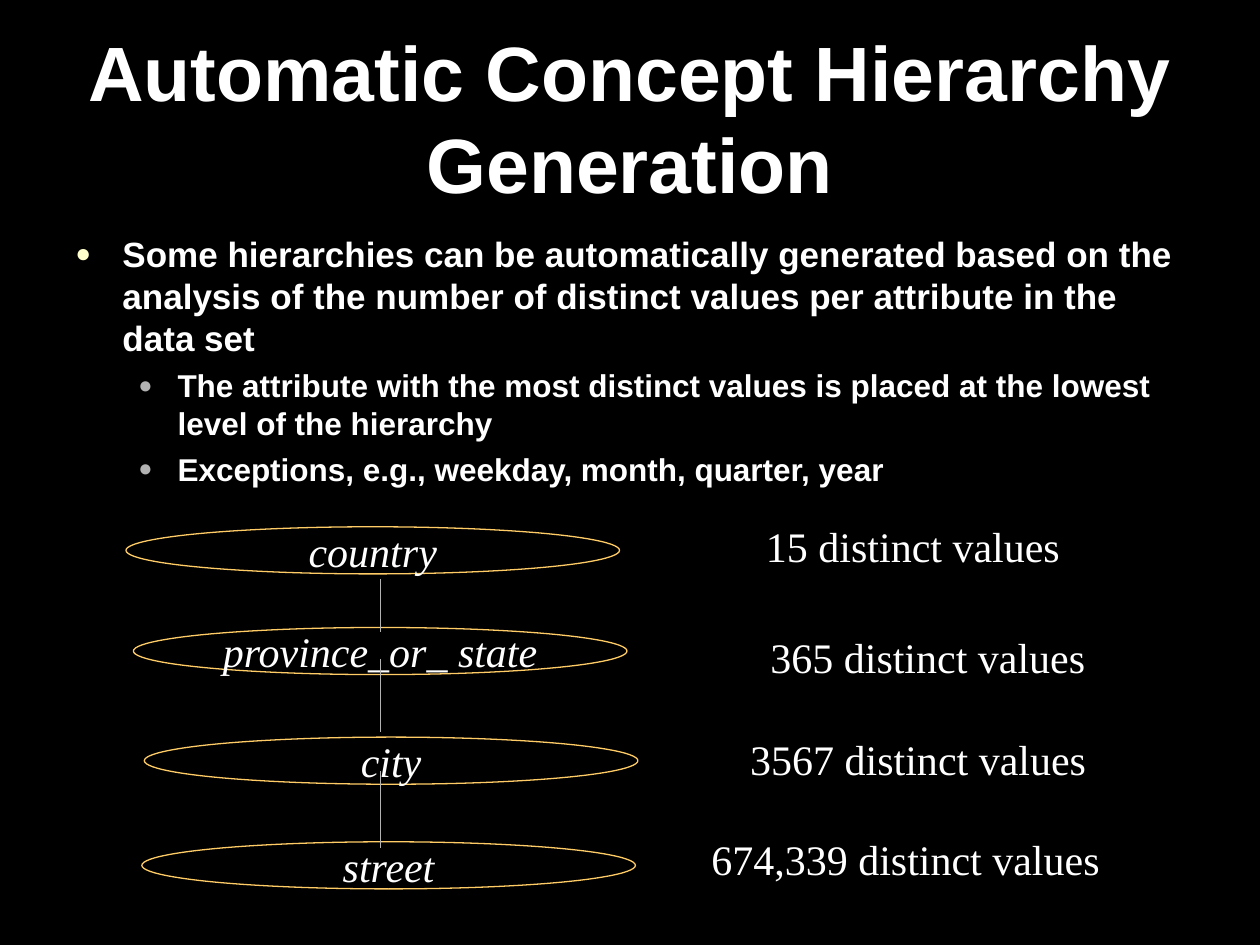
from lxml import etree
from pptx import Presentation
from pptx.dml.color import RGBColor
from pptx.enum.shapes import MSO_CONNECTOR, MSO_SHAPE
from pptx.enum.text import MSO_ANCHOR, MSO_AUTO_SIZE, PP_ALIGN
from pptx.oxml.ns import qn
from pptx.util import Cm, Pt

OVAL = MSO_SHAPE.OVAL
STRAIGHT = MSO_CONNECTOR.STRAIGHT
MIDDLE = MSO_ANCHOR.MIDDLE
GROW = MSO_AUTO_SIZE.SHAPE_TO_FIT_TEXT
LEFT = PP_ALIGN.LEFT
CENTER = PP_ALIGN.CENTER
WHITE = "FFFFFF"
SANS = "Arial"
SERIF = "Times New Roman"


def color(value):
    return RGBColor.from_string(value)


def write(para, text, size=24, font=SERIF, bold=False, italic=False, align=CENTER):
    para.alignment = align
    span = para.add_run()
    span.text = text
    span.font.size = Pt(size)
    span.font.name = font
    span.font.bold = bold
    span.font.italic = italic
    span.font.color.rgb = color(WHITE)


deck = Presentation()
deck.slide_width = Cm(25.4)
deck.slide_height = Cm(19.05)
page = deck.slides.add_slide(deck.slide_layouts[6])
page.background.fill.solid()
page.background.fill.fore_color.rgb = color("000000")

title = page.shapes.add_textbox(Cm(1.27), Cm(0.76), Cm(22.86), Cm(3.18)).text_frame
title.word_wrap = True
title.vertical_anchor = MIDDLE
write(title.paragraphs[0], "Automatic Concept Hierarchy Generation", size=44, font=SANS, bold=True)

body = page.shapes.add_textbox(Cm(1.27), Cm(4.56), Cm(22.86), Cm(12.57)).text_frame
body.word_wrap = True
points = [
    (0, "Some hierarchies can be automatically generated based on the analysis of the number of distinct values per attribute in the data set"),
    (1, "The attribute with the most distinct values is placed at the lowest level of the hierarchy"),
    (1, "Exceptions, e.g., weekday, month, quarter, year"),
]
level_styles = [(20, 5, 0.95, 0.95, "FFFFCC"), (18, 4.5, 2.06, 0.79, "B2B2B2")]
for index, (level, text) in enumerate(points):
    size, space, margin, hanging, bullet_color = level_styles[level]
    para = body.add_paragraph() if index else body.paragraphs[0]
    write(para, text, size=size, font=SANS, bold=True, align=LEFT)
    para.level = level
    para.space_before = Pt(space)
    properties = para._p.get_or_add_pPr()
    properties.set("marL", str(Cm(margin)))
    properties.set("indent", str(-Cm(hanging)))
    bullet = etree.SubElement(properties, qn("a:buClr"))
    etree.SubElement(bullet, qn("a:srgbClr"), val=bullet_color)
    etree.SubElement(properties, qn("a:buSzPct"), val="75000")
    etree.SubElement(properties, qn("a:buFont"), typeface=SANS)
    etree.SubElement(properties, qn("a:buChar"), char="●")

levels = [
    ("country", 2.54, 10.62),
    ("province_or_ state", 2.69, 12.65),
    ("city", 2.91, 14.86),
    ("street", 2.86, 16.97),
]
for name, left, top in levels:
    oval = page.shapes.add_shape(OVAL, Cm(left), Cm(top), Cm(9.95), Cm(0.95))
    oval.shadow.inherit = False
    oval.fill.background()
    oval.line.color.rgb = color("FFCC66")
    oval.line.width = Pt(0.75)
    oval.text_frame.word_wrap = False
    oval.text_frame.vertical_anchor = MIDDLE
    write(oval.text_frame.paragraphs[0], name, italic=True)

for start, end in [(11.68, 12.75), (13.28, 14.76), (15.54, 17.09)]:
    link = page.shapes.add_connector(STRAIGHT, Cm(7.67), Cm(start), Cm(7.67), Cm(end))
    link.line.color.rgb = color("B2B2B2")
    link.line.width = Pt(0.75)
    etree.SubElement(link._element.spPr, qn("a:effectLst"))

counts = [
    ("15", 15.19, 10.36, 6.43),
    ("365", 15.24, 12.6, 6.93),
    ("3567", 14.83, 14.66, 7.36),
    ("674,339", 14.08, 16.67, 8.35),
]
for count, left, top, width in counts:
    box = page.shapes.add_textbox(Cm(left), Cm(top), Cm(width), Cm(1.27))
    box.text_frame.word_wrap = False
    box.text_frame.auto_size = GROW
    write(box.text_frame.paragraphs[0], f"{count} distinct values")

deck.save("out.pptx")
